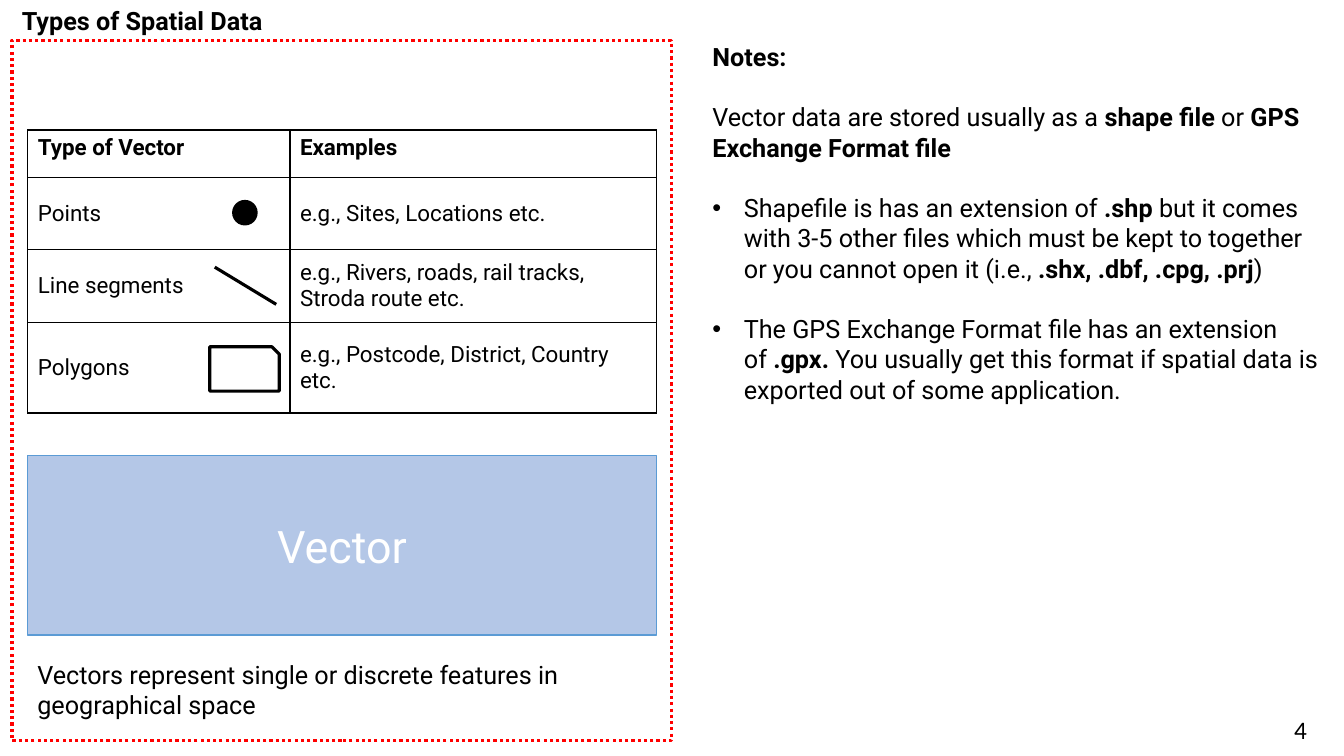
import pptx
import pptx.util
import pptx.dml.color
import pptx.enum.dml
import pptx.enum.shapes
import pptx.enum.text
import pptx.oxml.ns
import lxml.etree

Pt = pptx.util.Pt
RGB = pptx.dml.color.RGBColor
Shape = pptx.enum.shapes.MSO_SHAPE
Anchor = pptx.enum.text.MSO_ANCHOR
Align = pptx.enum.text.PP_ALIGN
qn = pptx.oxml.ns.qn

BLACK = RGB(0x00, 0x00, 0x00)
WHITE = RGB(0xFF, 0xFF, 0xFF)
RED = RGB(0xFF, 0x00, 0x00)
PALE = RGB(0xB4, 0xC7, 0xE7)
BLUE = RGB(0x5B, 0x9B, 0xD5)


def write(para, text, size=18, font="Roboto", color=BLACK, bold=False,
          align=Align.LEFT, before=0, bullet=False):
    """Fill a paragraph; each * in the text switches bold on or off."""
    para.alignment = align
    para.space_before = Pt(before)
    if bullet:
        props = para._p.get_or_add_pPr()
        props.set("marL", str(Pt(22.5)))
        props.set("indent", str(Pt(-22.5)))
        lxml.etree.SubElement(props, qn("a:buFont"), typeface="Arial")
        lxml.etree.SubElement(props, qn("a:buChar"), char="•")
    for i, part in enumerate(text.split("*")):
        if part:
            run = para.add_run()
            run.text = part
            run.font.size = Pt(size)
            run.font.name = font
            run.font.bold = bold != (i % 2 == 1)
            run.font.color.rgb = color


class Page:
    def __init__(self, deck):
        self.items = deck.slides.add_slide(deck.slide_layouts[6]).shapes
        self.ink = BLACK
        self.thick = 2.25

    def text(self, box, *paras):
        """Add a text box; each paragraph is a pair of text and format."""
        frame = self.items.add_textbox(*map(Pt, box)).text_frame
        frame.word_wrap = True
        for i, (text, form) in enumerate(paras):
            para = frame.add_paragraph() if i else frame.paragraphs[0]
            write(para, text, **form)

    def shape(self, kind, box, fill=None, line=None, width=1, dash=None):
        item = self.items.add_shape(kind, *map(Pt, box))
        item.shadow.inherit = False
        if fill is None:
            item.fill.background()
        else:
            item.fill.solid()
            item.fill.fore_color.rgb = fill
        item.line.color.rgb = line or self.ink
        item.line.width = Pt(width)
        if dash:
            item.line.dash_style = dash
        return item

    def line(self, *ends):
        kind = pptx.enum.shapes.MSO_CONNECTOR.STRAIGHT
        item = self.items.add_connector(kind, *map(Pt, ends))
        item.line.color.rgb = self.ink
        item.line.width = Pt(self.thick)
        lxml.etree.SubElement(item._element.spPr, qn("a:effectLst"))

    def edge(self, cell):
        """Draw the four borders of a table cell."""
        props = cell._tc.get_or_add_tcPr()
        for side in "LRTB":
            rule = lxml.etree.SubElement(props, qn("a:ln" + side), w=str(Pt(1)))
            fill = lxml.etree.SubElement(rule, qn("a:solidFill"))
            lxml.etree.SubElement(fill, qn("a:srgbClr"), val=str(self.ink))

    def table(self, left, top, cols, rows, data):
        box = map(Pt, (left, top, sum(cols), sum(rows)))
        grid = self.items.add_table(len(rows), len(cols), *box).table
        grid.first_row = grid.horz_banding = False
        for col, width in zip(grid.columns, cols):
            col.width = Pt(width)
        for r, (row, height) in enumerate(zip(grid.rows, rows)):
            row.height = Pt(height)
            for cell, text in zip(row.cells, data[r]):
                self.edge(cell)
                cell.fill.background()
                cell.vertical_anchor = Anchor.MIDDLE if r else Anchor.TOP
                write(cell.text_frame.paragraphs[0], text, size=16, bold=r == 0)


def main():
    deck = pptx.Presentation()
    deck.slide_width, deck.slide_height = Pt(960), Pt(540)
    page = Page(deck)

    page.text((8.6, 0, 349, 29), ("Types of Spatial Data", {"bold": True}))
    page.text((917.3, 506.9, 42.5, 11.5), ("4", {"font": "Calibri"}))

    panel = page.shape(Shape.RECTANGLE, (19.6, 325.4, 449.5, 128.2), PALE, BLUE)
    panel.text_frame.vertical_anchor = Anchor.MIDDLE
    write(panel.text_frame.paragraphs[0], "Vector", size=32, color=WHITE,
          align=Align.CENTER)

    page.table(19.9, 92.9, (187.2, 262.1), (33.8, 51.8, 51.8, 64.8), (
        ("Type of Vector", "Examples"),
        ("Points", "e.g., Sites, Locations etc."),
        ("Line segments", "e.g., Rivers, roads, rail tracks, Stroda route etc."),
        ("Polygons", "e.g., Postcode, District, Country etc."),
    ))
    page.shape(Shape.OVAL, (166.3, 143.3, 17.3, 17.3), BLACK)
    page.shape(Shape.SNIP_1_RECTANGLE, (149.8, 247.7, 49.7, 31.7),
               width=page.thick)
    page.line(153.4, 190.8, 197.3, 217.4)

    page.text((19.6, 467.3, 449.5, 51), (
        "Vectors represent single or discrete features in geographical space",
        {}))

    gap = {"before": 21.6}
    point = {"before": 21.6, "bullet": True}
    page.text(
        (501.8, 25.9, 449.3, 269.3),
        ("Notes:", {"bold": True}),
        ("Vector data are stored usually as a *shape file* or "
         "*GPS Exchange Format file*", gap),
        ("Shapefile is has an extension of *.shp *but it comes with 3-5 other "
         "files which must be kept to together or you cannot open it (i.e., "
         "*.shx, .dbf, .cpg, .prj*)", point),
        ("The GPS Exchange Format file has an extension of *.gpx. *You usually "
         "get this format if spatial data is exported out of some application.",
         point))

    page.shape(Shape.RECTANGLE, (8.6, 28.8, 470.9, 500.4), line=RED,
               width=page.thick, dash=pptx.enum.dml.MSO_LINE.ROUND_DOT)
    deck.save("out.pptx")


if __name__ == "__main__":
    main()
